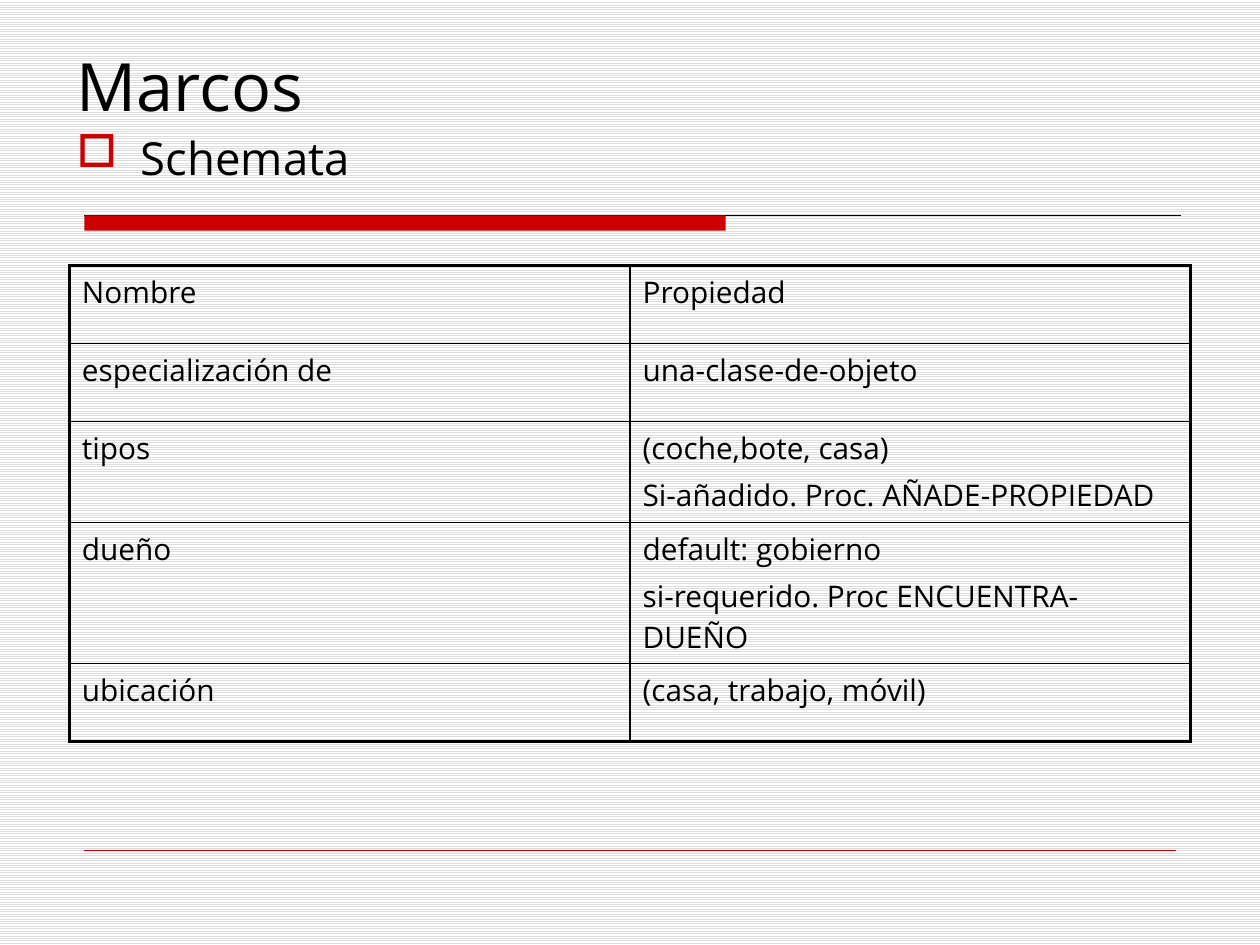
import pptx
import pptx.util
import pptx.dml.color
import pptx.enum.dml
import pptx.enum.shapes
import pptx.enum.text
import pptx.oxml.ns
import lxml.etree

COLORS = {"text": "000000", "accent": "CC0000", "stripe": "DDDDDD", "paper": "FFFFFF"}
FONT = "Open Sans"
WIDTH, HEIGHT = 10, 7.5
ROWS = [
    (0.62, ["Nombre "], ["Propiedad"]),
    (0.62, ["especialización de"], ["una-clase-de-objeto"]),
    (0.8, ["tipos"], ["(coche,bote, casa)", "Si-añadido. Proc. AÑADE-PROPIEDAD"]),
    (1.12, ["dueño"], ["default: gobierno", "si-requerido. Proc ENCUENTRA-DUEÑO"]),
    (0.62, ["ubicación"], ["(casa, trabajo, móvil)"]),
]


def inches(*values):
    return [pptx.util.Inches(value) for value in values]


def rgb(name):
    return pptx.dml.color.RGBColor.from_string(COLORS[name])


def add_node(parent, tag, **attributes):
    node = lxml.etree.SubElement(parent, pptx.oxml.ns.qn(tag))
    for key, value in attributes.items():
        node.set(key, str(value))
    return node


def write(frame, texts, size, before=0, spacing=None, bullet=None, indent=0.51):
    frame.word_wrap = True
    for index, text in enumerate(texts):
        paragraph = frame.paragraphs[0] if index == 0 else frame.add_paragraph()
        paragraph.space_before = pptx.util.Pt(before)
        if spacing:
            paragraph.line_spacing = spacing
        if bullet:
            properties = paragraph._p.get_or_add_pPr()
            properties.set("marL", str(pptx.util.Inches(indent)))
            properties.set("indent", str(-pptx.util.Inches(indent)))
            color = add_node(properties, "a:buClr")
            add_node(color, "a:srgbClr", val=COLORS["accent"])
            add_node(properties, "a:buChar", char=bullet)
        run = paragraph.add_run()
        run.text = text
        run.font.name = FONT
        run.font.size = pptx.util.Pt(size)
        run.font.color.rgb = rgb("text")


def add_rule(slide, left, top, width, color, weight):
    line = slide.shapes.add_connector(
        pptx.enum.shapes.MSO_CONNECTOR.STRAIGHT, *inches(left, top, left + width, top))
    line.line.color.rgb = rgb(color)
    line.line.width = pptx.util.Pt(weight)
    add_node(line._element.spPr, "a:effectLst")


def set_background(slide):
    fill = slide.background.fill
    fill.patterned()
    fill.pattern = pptx.enum.dml.MSO_PATTERN.LIGHT_HORIZONTAL
    fill.fore_color.rgb = rgb("stripe")
    fill.back_color.rgb = rgb("paper")


def add_divider(slide, left, top, width, height):
    add_rule(slide, left, top, width, "text", 0.75)
    bar = slide.shapes.add_shape(
        pptx.enum.shapes.MSO_SHAPE.RECTANGLE, *inches(left, top, width * 0.585, height))
    bar.shadow.inherit = False
    bar.fill.solid()
    bar.fill.fore_color.rgb = rgb("accent")
    bar.line.fill.background()


def add_heading(slide, left, top, width, height):
    title_height = height * 0.42
    title = slide.shapes.add_textbox(*inches(left, top, width, title_height)).text_frame
    title.vertical_anchor = pptx.enum.text.MSO_ANCHOR.MIDDLE
    write(title, ["Marcos"], 38)
    body = slide.shapes.add_textbox(
        *inches(left, top + title_height, width, height - title_height)).text_frame
    write(body, ["Schemata"], 26, before=5.2, spacing=0.8, bullet="□")


def set_borders(cell, weights):
    properties = cell._tc.get_or_add_tcPr()
    for position, (side, weight) in enumerate(weights.items()):
        border = lxml.etree.Element(pptx.oxml.ns.qn(f"a:ln{side}"))
        border.set("w", str(pptx.util.Pt(weight)))
        fill = add_node(border, "a:solidFill")
        add_node(fill, "a:srgbClr", val=COLORS["text"])
        properties.insert(position, border)


def add_frame_table(slide, left, top, width):
    height = sum(row[0] for row in ROWS)
    table = slide.shapes.add_table(len(ROWS), 2, *inches(left, top, width, height)).table
    table.first_row = False
    table.horz_banding = False
    last = len(ROWS) - 1
    for row, (row_height, *cells) in enumerate(ROWS):
        table.rows[row].height = pptx.util.Inches(row_height)
        for column, texts in enumerate(cells):
            cell = table.cell(row, column)
            cell.fill.background()
            write(cell.text_frame, texts, 17, before=3.4)
            outer = {"L": column == 0, "R": column == 1, "T": row == 0, "B": row == last}
            set_borders(cell, {side: 2.25 if edge else 1 for side, edge in outer.items()})


def build():
    presentation = pptx.Presentation()
    presentation.slide_width, presentation.slide_height = inches(WIDTH, HEIGHT)
    slide = presentation.slides.add_slide(presentation.slide_layouts[6])
    set_background(slide)
    add_divider(slide, WIDTH * 0.067, HEIGHT * 0.228, WIDTH * 0.87, HEIGHT * 0.016)
    add_rule(slide, WIDTH * 0.067, HEIGHT * 0.9, WIDTH * 0.866, "accent", 0.25)
    add_heading(slide, WIDTH * 0.051, HEIGHT * 0.037, WIDTH * 0.9, HEIGHT * 0.25)
    add_frame_table(slide, WIDTH * 0.055, HEIGHT * 0.281, WIDTH * 0.89)
    presentation.save("out.pptx")


build()
